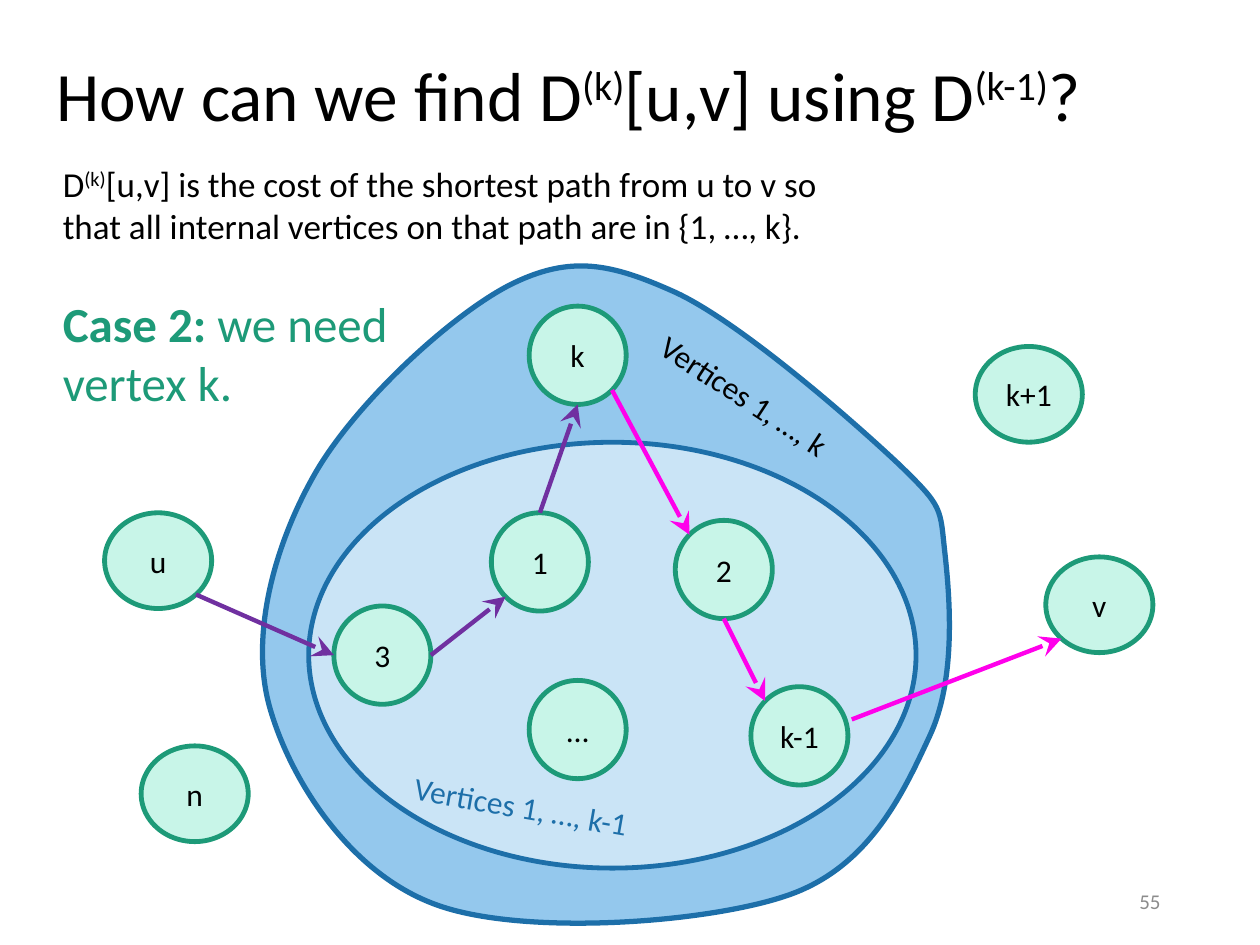
import math
from dataclasses import dataclass

import pptx
import pptx.dml.color
import pptx.enum.shapes
import pptx.enum.text
import pptx.oxml.ns
import pptx.util
from lxml import etree
from pptx.util import Inches

FONT = "Calibri"
BLACK, BLUE, GREEN = "000000", "1D6FA9", "1D9A78"
PURPLE, PINK = "7030A0", "FF00EB"
ANCHOR = pptx.enum.text.MSO_ANCHOR
ALIGN = pptx.enum.text.PP_ALIGN
FIT = pptx.enum.text.MSO_AUTO_SIZE
OVAL = pptx.enum.shapes.MSO_SHAPE.OVAL
qn = pptx.oxml.ns.qn


@dataclass
class Node:
    label: str
    x: float
    y: float
    w: float = 0.77
    h: float = 0.78

    def site(self, angle: float) -> tuple[float, float]:
        """Point on the rim, in degrees clockwise from the right."""
        a = math.radians(angle)
        return (self.x + self.w / 2 * (1 + math.cos(a)),
                self.y + self.h / 2 * (1 + math.sin(a)))


@dataclass
class Run:
    text: str
    sup: bool = False
    bold: bool = False


@dataclass
class Label:
    runs: list[Run]
    x: float
    y: float
    w: float
    h: float
    size: float
    color: str = BLACK
    rotation: float = 0
    anchor: ANCHOR = ANCHOR.TOP
    align: ALIGN = ALIGN.LEFT
    spacing: float = 1.0
    fit: FIT = FIT.SHAPE_TO_FIT_TEXT


def rgb(value: str) -> pptx.dml.color.RGBColor:
    return pptx.dml.color.RGBColor.from_string(value)


def paint(sp, fill: str, line: str, width: float) -> None:
    sp.shadow.inherit = False
    sp.fill.solid()
    sp.fill.fore_color.rgb = rgb(fill)
    sp.line.color.rgb = rgb(line)
    sp.line.width = pptx.util.Pt(width)


def style(r, size: float, color: str) -> None:
    r.font.name = FONT
    r.font.size = pptx.util.Pt(size)
    r.font.color.rgb = rgb(color)


def add_label(s, label: Label) -> None:
    sp = s.shapes.add_textbox(*map(Inches, (label.x, label.y, label.w, label.h)))
    sp.rotation = label.rotation
    tf = sp.text_frame
    tf.word_wrap = True
    tf.auto_size = label.fit
    tf.vertical_anchor = label.anchor
    p = tf.paragraphs[0]
    p.alignment = label.align
    p.line_spacing = label.spacing
    for run in label.runs:
        r = p.add_run()
        r.text = run.text
        style(r, label.size, label.color)
        r.font.bold = run.bold
        if run.sup:
            r.font._element.set("baseline", "30000")


def add_oval(s, x: float, y: float, w: float, h: float, fill: str, line: str):
    sp = s.shapes.add_shape(OVAL, *map(Inches, (x, y, w, h)))
    paint(sp, fill, line, 2.75)
    return sp


def add_node(s, node: Node) -> None:
    sp = add_oval(s, node.x, node.y, node.w, node.h, "C8F5E8", GREEN)
    tf = sp.text_frame
    tf.text = node.label
    tf.vertical_anchor = ANCHOR.MIDDLE
    p = tf.paragraphs[0]
    p.alignment = ALIGN.CENTER
    style(p.runs[0], 18, BLACK)


def add_arrow(s, start: tuple[float, float], end: tuple[float, float], color: str) -> None:
    c = s.shapes.add_connector(pptx.enum.shapes.MSO_CONNECTOR.STRAIGHT,
                               *map(Inches, (*start, *end)))
    c.line.color.rgb = rgb(color)
    c.line.width = pptx.util.Pt(2.5)
    etree.SubElement(c.line._get_or_add_ln(), qn("a:tailEnd"),
                     type="stealth", w="lg", len="lg")
    etree.SubElement(c._element.spPr, qn("a:effectLst"))


def add_blob(s, box: tuple, start: tuple, curves: list[tuple]) -> None:
    """Draw a closed outline of cubic curves (x1, y1, x2, y2, x, y) in a box."""
    left, top, w, h = box
    fb = s.shapes.build_freeform(Inches(left), Inches(top))
    fb.add_line_segments([(Inches(left + w), Inches(top + h))])
    sp = fb.convert_to_shape()
    path = next(sp._element.iter(qn("a:path")))
    for child in list(path):
        path.remove(child)
    for tag, coords in [("a:moveTo", start)] + [("a:cubicBezTo", c) for c in curves]:
        step = etree.SubElement(path, qn(tag))
        for x, y in zip(coords[::2], coords[1::2]):
            etree.SubElement(step, qn("a:pt"),
                             x=str(Inches(x - left)), y=str(Inches(y - top)))
    etree.SubElement(path, qn("a:close"))
    paint(sp, "94C8ED", BLUE, 3)


OUTLINE = [
    (7.54, 4.75, 7.59, 5.39, 7.38, 5.84),
    (7.17, 6.29, 6.9, 6.89, 6.24, 7.11),
    (5.59, 7.33, 4.14, 7.43, 3.46, 7.18),
    (2.77, 6.93, 2.3, 6.18, 2.14, 5.61),
    (1.98, 5.04, 2.18, 4.32, 2.5, 3.76),
    (2.82, 3.2, 3.58, 2.5, 4.05, 2.26),
    (4.53, 2.02, 4.85, 2.09, 5.36, 2.32),
    (5.88, 2.56, 6.78, 3.35, 7.14, 3.69),
    (7.49, 4.03, 7.46, 4.03, 7.5, 4.39),
]
OUTER = {"w": 0.85, "h": 0.76}
NODES = {n.label: n for n in (
    Node("k-1", 5.96, 5.45), Node("2", 5.36, 4.13), Node("…", 4.2, 5.4),
    Node("1", 3.9, 4.07), Node("3", 2.65, 4.81), Node("k", 4.2, 2.43),
    Node("k+1", 7.74, 2.75, **OUTER), Node("u", 0.83, 4.07, **OUTER),
    Node("v", 8.3, 4.42, **OUTER), Node("n", 1.12, 5.92, **OUTER),
)}
# Start node, rim angle, end node, rim angle
PATH_TO_K = [("u", 45, "3", 180), ("3", 0, "1", 135), ("1", 270, "k", 90)]
PATH_FROM_K = [("2", 90, "k-1", 225), ("k", 45, "2", 225)]

TITLE = Label([Run("How can we find D"), Run("(k)", sup=True), Run("[u,v] using D"),
               Run("(k-1)", sup=True), Run("?")],
              0.35, 0.1, 8.62, 1.37, 39.6, anchor=ANCHOR.MIDDLE, spacing=0.9,
              fit=FIT.NONE)
OUTER_SET = Label([Run("Vertices 1, …, k")], 4.9, 3.45, 3.58, 0.4, 18, rotation=33.2)
INNER_SET = Label([Run("Vertices 1, …, k-1")], 3.17, 6.34, 3.58, 0.4, 18, BLUE,
                  rotation=9.9)
DEFINITION = Label([Run("D"), Run("(k)", sup=True),
                    Run("[u,v] is the cost of the shortest path from u to v so that "
                        "all internal vertices on that path are in {1, …, k}.")],
                   0.4, 1.24, 6.46, 0.77, 20)
CASE = Label([Run("Case 2: ", bold=True), Run("we need vertex k.")],
             0.4, 2.28, 2.88, 1.04, 28, GREEN)
NUMBER = Label([Run("55")], 7.06, 6.95, 2.25, 0.4, 12, "8C8C8C",
               anchor=ANCHOR.MIDDLE, align=ALIGN.RIGHT, fit=FIT.NONE)


def add_path(s, steps: list[tuple], color: str) -> None:
    for a, a_angle, b, b_angle in steps:
        add_arrow(s, NODES[a].site(a_angle), NODES[b].site(b_angle), color)


def main() -> None:
    prs = pptx.Presentation()
    prs.slide_width, prs.slide_height = Inches(10), Inches(7.5)
    s = prs.slides.add_slide(prs.slide_layouts[6])

    # Outer set, title and inner set
    add_blob(s, (2.08, 2.11, 5.46, 5.22), (7.5, 4.39), OUTLINE)
    add_label(s, OUTER_SET)
    add_label(s, TITLE)
    add_oval(s, 2.45, 3.51, 4.82, 3.38, "CAE4F6", BLUE)

    # Vertices
    for node in NODES.values():
        add_node(s, node)

    # Path from u to k, and the last step to v
    add_path(s, PATH_TO_K, PURPLE)
    add_arrow(s, (6.76, 5.71), NODES["v"].site(135), PINK)

    # Definition, inner set label and case
    for label in (DEFINITION, INNER_SET, CASE):
        add_label(s, label)

    # Path from k inside the sets
    add_path(s, PATH_FROM_K, PINK)
    add_label(s, NUMBER)

    prs.save("out.pptx")


if __name__ == "__main__":
    main()
